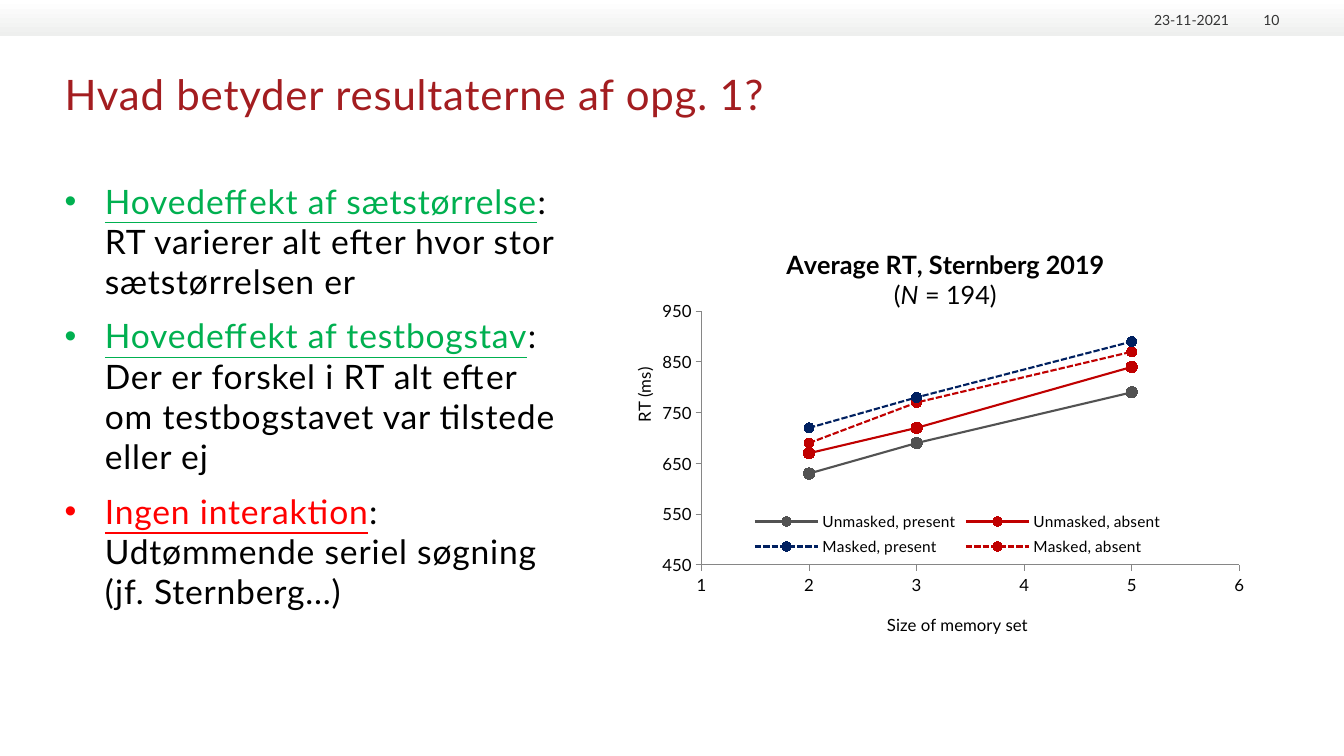
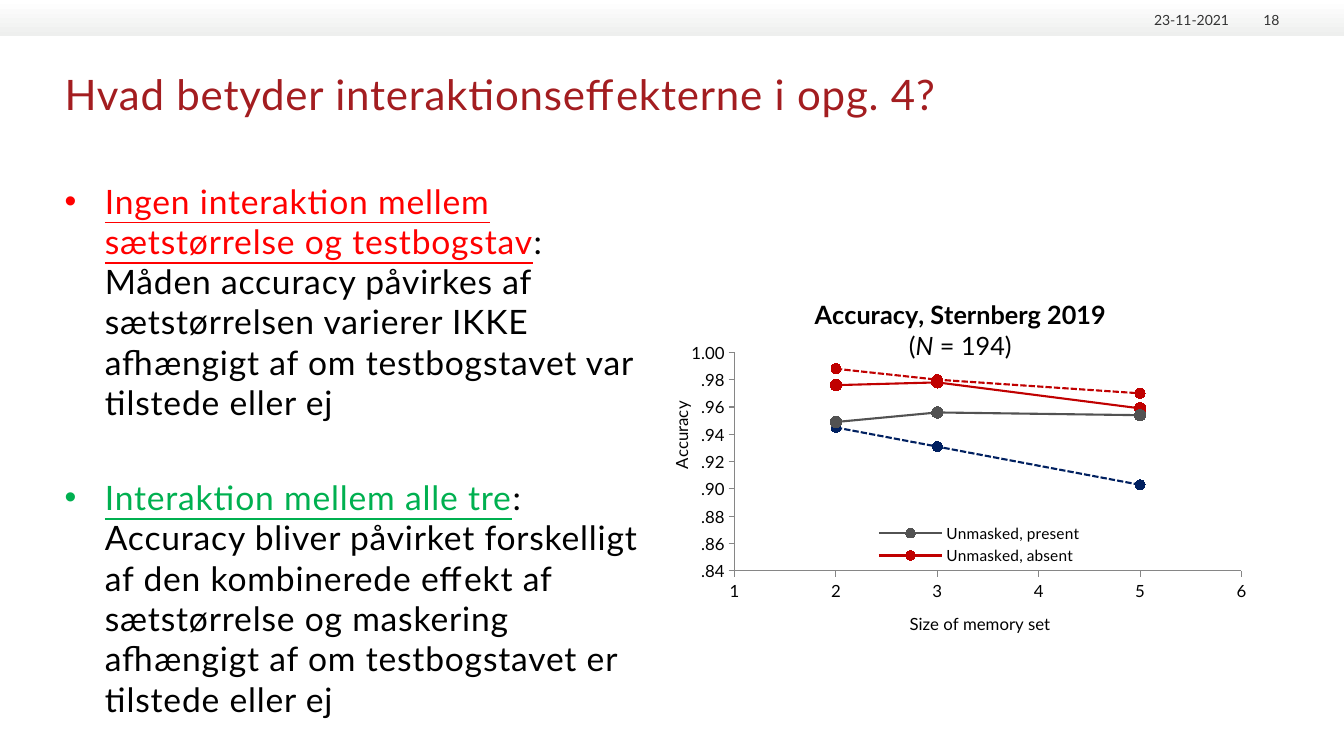
import pptx
import pptx.chart.data
import pptx.dml.color
import pptx.enum.chart
import pptx.enum.dml
import pptx.enum.shapes
import pptx.enum.text
import pptx.oxml
import pptx.oxml.ns
import pptx.oxml.xmlchemy
import pptx.util

# Shared look
WIDTH, HEIGHT = 13.33, 7.5
MARGIN = 0.64
RIGHT = 12.69
FONT = "Lato"
BLACK, GREY, TITLE_RED = "000000", "333333", "A31D20"
GREEN, RED = "00B050", "FF0000"
AXIS_GREY = "868686"
BAND = ("FFFFFF", "EEEFEE")
BAND_HEIGHT = 0.36
SPACING = 60
INDENT = 0.4
DATE = "23-11-2021"

# Series: name, colour, marker size, dashed
CONDITIONS = [
    ("Unmasked, present", "525252", 8, False),
    ("Unmasked, absent", "C00000", 8, False),
    ("Masked, present", "002060", 7, True),
    ("Masked, absent", "C00000", 7, True),
]
SET_SIZES = (2, 3, 5)
SIZE_LABEL = "Size of memory set"
PLOT_SHARE = (0.138, 0.206, 0.802, 0.591)

# Content: each point is lead, lead colour, explanation, space after
SLIDES = [
    dict(
        number="10",
        title="Hvad betyder resultaterne af opg. 1?",
        text_width=4.89,
        points=[
            ("Hovedeffekt af sætstørrelse", GREEN,
             [": RT varierer alt efter hvor stor sætstørrelsen er"], 0),
            ("Hovedeffekt af testbogstav", GREEN,
             [": Der er forskel i RT alt efter om testbogstavet var tilstede eller ej"], 0),
            ("Ingen interaktion", RED,
             [": Udtømmende seriel søgning (jf. Sternberg...)"], 0),
        ],
        chart=dict(
            at=(6.04, 2.21, 6.65, 4.26),
            title="Average RT, Sternberg 2019",
            measure="RT (ms)",
            scale=(450, 950, 100),
            number_format="0",
            values=[(630, 690, 790), (670, 720, 840), (720, 780, 890), (690, 770, 870)],
            legend_share=(0.21, 0.66, 0.62, 0.13),
            legend_entries=4,
        ),
    ),
    dict(
        number="18",
        title="Hvad betyder interaktionseffekterne i opg. 4?",
        text_width=6.02,
        points=[
            ("Ingen interaktion mellem sætstørrelse og testbogstav", RED,
             [":", "Måden accuracy påvirkes af sætstørrelsen varierer IKKE "
              "afhængigt af om testbogstavet var tilstede eller ej"], 29),
            ("Interaktion mellem alle tre", GREEN,
             [":", "Accuracy bliver påvirket forskelligt af den kombinerede effekt af "
              "sætstørrelse og maskering afhængigt af om testbogstavet er tilstede eller ej"], 0),
        ],
        chart=dict(
            at=(6.42, 2.74, 6.27, 3.67),
            title="Accuracy, Sternberg 2019",
            measure="Accuracy",
            scale=(0.84, 1, 0.02),
            number_format="####.00",
            values=[(0.949, 0.956, 0.954), (0.976, 0.978, 0.959),
                    (0.945, 0.931, 0.903), (0.988, 0.98, 0.97)],
            legend_share=(0.355, 0.66, 0.34, 0.13),
            legend_entries=2,
        ),
    ),
]


# Formatting helpers
def rgb(value):
    return pptx.dml.color.RGBColor.from_string(value)


def assign(target, **values):
    for name, value in values.items():
        setattr(target, name, value)


def style(font, size, color=BLACK, **values):
    assign(font, name=FONT, size=pptx.util.Pt(size), **values)
    font.color.rgb = rgb(color)


def inches(box):
    return [pptx.util.Inches(length) for length in box]


def add_run(paragraph, text, size, color=BLACK, spacing=0, **values):
    run = paragraph.add_run()
    run.text = text
    style(run.font, size, color, **values)
    if spacing:
        run.font._element.set("spc", str(spacing))


def c_element(tag, **attributes):
    element = pptx.oxml.xmlchemy.OxmlElement(tag)
    for name, value in attributes.items():
        element.set(name, str(value))
    return element


def set_layout(parent, index, share, inner=False):
    """Place a chart part by shares of the chart's size."""
    for old in parent.findall(pptx.oxml.ns.qn("c:layout")):
        parent.remove(old)
    layout, manual = c_element("c:layout"), c_element("c:manualLayout")
    layout.append(manual)
    if inner:
        manual.append(c_element("c:layoutTarget", val="inner"))
    for side in ("xMode", "yMode"):
        manual.append(c_element("c:" + side, val="edge"))
    for side, value in zip("xywh", share):
        manual.append(c_element("c:" + side, val=value))
    parent.insert(index, layout)


def plain_frame(frame, anchor=pptx.enum.text.MSO_ANCHOR.TOP):
    assign(frame, word_wrap=True, vertical_anchor=anchor,
           auto_size=pptx.enum.text.MSO_AUTO_SIZE.NONE,
           margin_left=0, margin_right=0, margin_top=0, margin_bottom=0)
    return frame


# Slide parts
def add_band(slide, number):
    band = slide.shapes.add_shape(pptx.enum.shapes.MSO_SHAPE.RECTANGLE,
                                  *inches((0, 0, WIDTH, BAND_HEIGHT)))
    band.shadow.inherit = False
    band.line.fill.background()
    band.fill.gradient()
    band.fill.gradient_angle = 270
    for stop, color in zip(band.fill.gradient_stops, BAND):
        stop.color.rgb = rgb(color)
    for text, left, width in ((DATE, 11.3, 0.89), (number, 12.27, 0.42)):
        box = slide.shapes.add_textbox(*inches((left, 0.09, width, 0.19)))
        frame = plain_frame(box.text_frame, pptx.enum.text.MSO_ANCHOR.BOTTOM)
        frame.paragraphs[0].alignment = pptx.enum.text.PP_ALIGN.RIGHT
        add_run(frame.paragraphs[0], text, 10, GREY)


def set_title(slide, text):
    title = slide.shapes.title
    left, top, width, height = inches((MARGIN, 0.68, RIGHT - MARGIN, 0.95))
    assign(title, left=left, top=top, width=width, height=height)
    paragraph = plain_frame(title.text_frame).paragraphs[0]
    paragraph.alignment = pptx.enum.text.PP_ALIGN.LEFT
    add_run(paragraph, text, 30, TITLE_RED, SPACING)


def add_bullet(paragraph, color):
    properties = paragraph._p.get_or_add_pPr()
    indent = pptx.util.Inches(INDENT)
    properties.set("marL", str(indent))
    properties.set("indent", str(-indent))
    bullet_color = c_element("a:buClr")
    bullet_color.append(c_element("a:srgbClr", val=color))
    for element in (bullet_color, c_element("a:buFont", typeface="Arial"),
                    c_element("a:buChar", char="•")):
        properties.append(element)


def add_points(slide, points, width):
    box = slide.shapes.add_textbox(*inches((MARGIN, 1.79, width, 5.2)))
    frame = plain_frame(box.text_frame)
    for i, (lead, color, lines, after) in enumerate(points):
        paragraph = frame.add_paragraph() if i else frame.paragraphs[0]
        add_bullet(paragraph, color)
        assign(paragraph, space_before=pptx.util.Pt(10 if i else 0),
               space_after=pptx.util.Pt(after))
        add_run(paragraph, lead, 24, color, SPACING, underline=True)
        for j, line in enumerate(lines):
            if j:
                paragraph.add_line_break()
            add_run(paragraph, line, 24, BLACK, SPACING)


# Chart parts
def format_axis(axis, label, scale, number_format):
    low, high, step = scale
    assign(axis, minimum_scale=low, maximum_scale=high, major_unit=step,
           has_major_gridlines=False, has_minor_gridlines=False,
           major_tick_mark=pptx.enum.chart.XL_TICK_MARK.OUTSIDE,
           minor_tick_mark=pptx.enum.chart.XL_TICK_MARK.NONE)
    assign(axis.tick_labels, number_format=number_format, number_format_is_linked=False)
    style(axis.tick_labels.font, 12)
    axis.format.line.color.rgb = rgb(AXIS_GREY)
    axis.format.line.width = pptx.util.Pt(0.75)
    frame = axis.axis_title.text_frame
    add_run(frame.paragraphs[0], label, 12, bold=False)
    return frame


def format_series(series, color, marker_size, dashed):
    series.smooth = False
    line = series.format.line
    line.color.rgb = rgb(color)
    line.width = pptx.util.Pt(1.5)
    if dashed:
        line.dash_style = pptx.enum.dml.MSO_LINE.SQUARE_DOT
        line._ln.find(pptx.oxml.ns.qn("a:prstDash")).set("val", "sysDash")
    marker = series.marker
    assign(marker, style=pptx.enum.chart.XL_MARKER_STYLE.CIRCLE, size=marker_size)
    marker.format.fill.solid()
    marker.format.fill.fore_color.rgb = rgb(color)
    marker.format.line.color.rgb = rgb(color)


def add_rt_chart(slide, at, title, measure, scale, number_format, values,
                 legend_share, legend_entries):
    data = pptx.chart.data.XyChartData(number_format=number_format)
    for (name, *_), row in zip(CONDITIONS, values):
        series = data.add_series(name)
        for point in zip(SET_SIZES, row):
            series.add_data_point(*point)
    chart = slide.shapes.add_chart(pptx.enum.chart.XL_CHART_TYPE.XY_SCATTER_LINES,
                                   *inches(at), data).chart
    style(chart.font, 10)
    chart.plots[0].vary_by_categories = False
    for series, (_, *look) in zip(chart.plots[0].series, CONDITIONS):
        format_series(series, *look)

    # Titles and axes
    heading = chart.chart_title.text_frame
    add_run(heading.paragraphs[0], title, 18, bold=True)
    sample = heading.add_paragraph()
    for text, italic in (("(", False), ("N", True), (" = 194)", False)):
        add_run(sample, text, 18, bold=False, italic=italic)
    format_axis(chart.category_axis, SIZE_LABEL, (1, 6, 1), "0")
    side_label = format_axis(chart.value_axis, measure, scale, number_format)
    side_label._txBody.bodyPr.set("rot", "-5400000")
    side_label._txBody.bodyPr.set("vert", "horz")

    # Legend
    chart.has_legend = True
    assign(chart.legend, position=pptx.enum.chart.XL_LEGEND_POSITION.RIGHT,
           include_in_layout=False)
    style(chart.legend.font, 11)
    legend = chart._chartSpace.xpath(".//c:legend")[0]
    hidden = range(legend_entries, len(CONDITIONS))
    for place, index in enumerate(hidden, 1):
        entry = c_element("c:legendEntry")
        entry.append(c_element("c:idx", val=index))
        entry.append(c_element("c:delete", val=1))
        legend.insert(place, entry)

    # Positions inside the chart
    set_layout(legend, 1 + len(hidden), legend_share)
    set_layout(chart._chartSpace.xpath(".//c:plotArea")[0], 0, PLOT_SHARE, inner=True)
    title_shares = ((0.26, 0.05), (0.41, 0.9), (0.03, 0.33))
    for label, share in zip(chart._chartSpace.xpath(".//c:title"), title_shares):
        set_layout(label, 1, share)


def main():
    deck = pptx.Presentation()
    deck.slide_width, deck.slide_height = inches((WIDTH, HEIGHT))
    for content in SLIDES:
        slide = deck.slides.add_slide(deck.slide_layouts[5])
        add_band(slide, content["number"])
        set_title(slide, content["title"])
        add_points(slide, content["points"], content["text_width"])
        add_rt_chart(slide, **content["chart"])
    deck.save("out.pptx")


if __name__ == "__main__":
    main()
